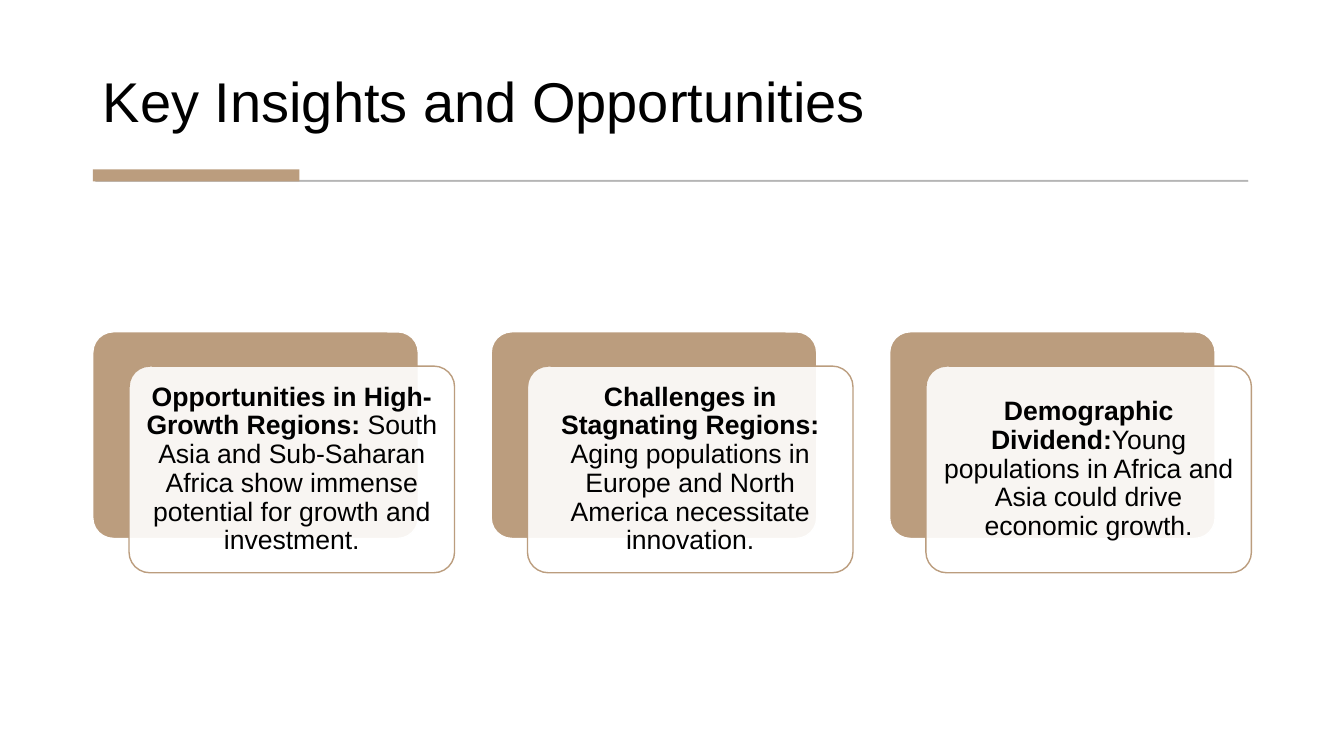
"""Build the Key Insights and Opportunities slide."""
from lxml import etree
from pptx import Presentation
from pptx import util as u
from pptx.dml.color import RGBColor
from pptx.enum import shapes, text
from pptx.oxml.ns import qn

INSIGHTS = [
    ("Opportunities in High-Growth Regions: ",
     "South Asia and Sub-Saharan Africa show immense potential for growth and investment."),
    ("Challenges in Stagnating Regions: ",
     "Aging populations in Europe and North America necessitate innovation."),
    ("Demographic Dividend:",
     "Young populations in Africa and Asia could drive economic growth."),
]


class SlideBuilder:
    """Hold the slide and its style and add each kind of element."""

    FONT = "Arial"
    INK = "000000"
    TAN = "BB9D7E"
    GREY = "595959"
    WHITE = "FFFFFF"

    def __init__(self, slide):
        self.slide = slide

    def paint(self, color_format, color, opacity=100):
        """Set a hex colour and, where needed, its opacity in percent."""
        color_format.fore_color.rgb = RGBColor.from_string(color)
        if opacity < 100:
            for element in color_format._xPr.iter(qn("a:srgbClr")):
                if element.getparent().getparent() is color_format._xPr:
                    alpha = etree.SubElement(element, qn("a:alpha"))
                    alpha.set("val", str(opacity * 1000))

    def style_paragraph(self, paragraph, size, alignment):
        """Apply the slide's font and line spacing to a paragraph."""
        paragraph.alignment = alignment
        paragraph.line_spacing = 0.9
        paragraph.font.name = self.FONT
        paragraph.font.size = u.Pt(size)
        paragraph.font.color.rgb = RGBColor.from_string(self.INK)

    def title(self, wording, left, top, width, height):
        """Move, fill and format the title placeholder."""
        title = self.slide.shapes.title
        title.left, title.top = u.Pt(left), u.Pt(top)
        title.width, title.height = u.Pt(width), u.Pt(height)
        frame = title.text_frame
        frame.text = wording
        frame.word_wrap = True
        frame.auto_size = text.MSO_AUTO_SIZE.NONE
        frame.vertical_anchor = text.MSO_ANCHOR.BOTTOM
        self.style_paragraph(frame.paragraphs[0], 40, text.PP_ALIGN.LEFT)

    def box(self, left, top, width, height, fill, line=None, line_width=1,
            fill_opacity=100, line_opacity=100, rounded=False):
        """Add a plain or rounded rectangle."""
        kind = shapes.MSO_SHAPE.ROUNDED_RECTANGLE if rounded else shapes.MSO_SHAPE.RECTANGLE
        shape = self.slide.shapes.add_shape(
            kind, u.Pt(left), u.Pt(top), u.Pt(width), u.Pt(height))
        shape.shadow.inherit = False
        if rounded:
            shape.adjustments[0] = 0.1
        shape.fill.solid()
        self.paint(shape.fill, fill, fill_opacity)
        if line:
            shape.line.width = u.Pt(line_width)
            shape.line.fill.solid()
            self.paint(shape.line.fill, line, line_opacity)
        else:
            shape.line.fill.background()
        return shape

    def card(self, left, top, heading, detail):
        """Add a tan backing with an offset translucent card of text."""
        width, height = 232.5, 147.6
        self.box(left, top, width, height, self.TAN, self.WHITE, rounded=True)
        shape = self.box(left + 25.9, top + 24.5, width, height, self.WHITE, self.TAN,
                         fill_opacity=90, rounded=True)
        frame = shape.text_frame
        frame.word_wrap = True
        frame.vertical_anchor = text.MSO_ANCHOR.MIDDLE
        frame.margin_left = frame.margin_right = u.Pt(5.76)
        frame.margin_top = frame.margin_bottom = u.Pt(5.76)
        paragraph = frame.paragraphs[0]
        self.style_paragraph(paragraph, 19, text.PP_ALIGN.CENTER)
        for wording, bold in ((heading, True), (detail, False)):
            run = paragraph.add_run()
            run.text = wording
            run.font.bold = bold


def main():
    """Create the presentation and save it."""
    presentation = Presentation()
    presentation.slide_width, presentation.slide_height = u.Pt(960), u.Pt(540)
    slide = presentation.slides.add_slide(presentation.slide_layouts[5])
    builder = SlideBuilder(slide)
    margin = 66.3
    builder.title("Key Insights and Opportunities", margin, 20.2, 827.3, 79.9)
    builder.box(68.4, 128.9, 823, 0.72, builder.GREY, builder.GREY, 0.75,
                fill_opacity=30, line_opacity=30)
    builder.box(margin, 121, 147.6, 8.64, builder.TAN)
    for index, (heading, detail) in enumerate(INSIGHTS):
        builder.card(margin + index * 284.6, 237, heading, detail)
    presentation.save("out.pptx")


if __name__ == "__main__":
    main()
